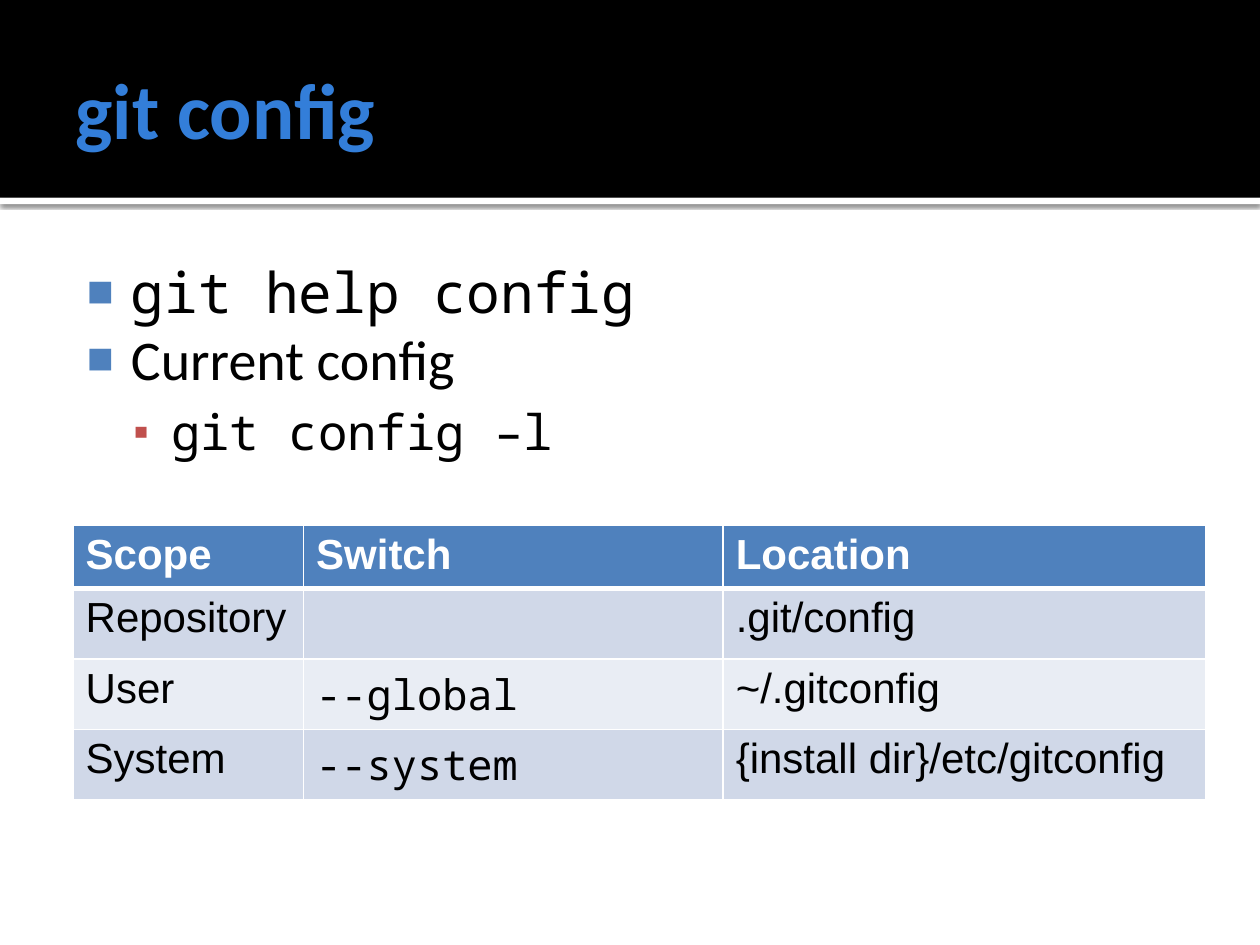
"""Build a slide on git config scopes, switches and file locations."""
from dataclasses import dataclass

from lxml.etree import SubElement
from pptx import Presentation
from pptx.dml.color import RGBColor as RGB
from pptx.enum.shapes import MSO_SHAPE as Shape
from pptx.enum.text import MSO_ANCHOR as Anchor, MSO_AUTO_SIZE as AutoSize, PP_ALIGN as Align
from pptx.oxml.ns import qn
from pptx.util import Inches, Pt


@dataclass(frozen=True)
class Theme:
    white: str = "FFFFFF"
    black: str = "000000"
    title: str = "337ED9"
    accent: str = "4F81BD"
    sub_accent: str = "C0504D"
    bands: tuple = ("D0D8E8", "E9EDF4")
    heading_font: str = "Calibri"
    code_font: str = "Noto Sans Mono"
    table_font: str = "Arial"
    title_size: int = 45
    body_size: int = 32
    sub_size: int = 28
    table_size: int = 24


def add_run(paragraph, text, font, size, color, bold=False):
    run = paragraph.add_run()
    run.text = text
    run.font.name = font
    run.font.size = Pt(size)
    run.font.bold = bold
    run.font.color.rgb = RGB.from_string(color)


def add_xml(parent, tag, **attributes):
    return SubElement(parent, qn(tag), {key: str(value) for key, value in attributes.items()})


theme = Theme()
deck = Presentation()
deck.slide_width, deck.slide_height = Inches(10), Inches(7.5)
slide = deck.slides.add_slide(deck.slide_layouts[5])

for top, height, color in ((1.57, 0.05, theme.white), (0, 1.57, theme.black)):
    band = slide.shapes.add_shape(Shape.RECTANGLE, 0, Inches(top), Inches(10), Inches(height))
    band.fill.solid()
    band.fill.fore_color.rgb = RGB.from_string(color)
    band.line.fill.background()
    band.shadow.inherit = False
    if color == theme.white:
        effects = band.element.spPr.find(qn("a:effectLst"))
        shadow = add_xml(effects, "a:outerShdw", blurRad=Pt(2.5), dist=Pt(0.8), dir=90 * 60000)
        add_xml(add_xml(shadow, "a:srgbClr", val=theme.black), "a:alpha", val=60000)

title = slide.shapes.title
title.element.getparent().append(title.element)
title.left, title.top, title.width, title.height = (Inches(n) for n in (0.5, 0.17, 9, 1.37))
heading = title.text_frame
heading.auto_size = AutoSize.NONE
heading.vertical_anchor = Anchor.MIDDLE
heading.margin_left = Inches(0.1)
heading.margin_top = heading.margin_right = heading.margin_bottom = Inches(0.05)
heading.paragraphs[0].alignment = Align.LEFT
add_run(heading.paragraphs[0], "git config", theme.heading_font, theme.title_size, theme.title, True)

body = slide.shapes.add_textbox(Inches(0.5), Inches(1.94), Inches(9), Inches(5.06)).text_frame
body.word_wrap = True
body.margin_left, body.margin_top = Inches(0.06), Inches(0.1)
body.margin_right, body.margin_bottom = Inches(0.1), Inches(0.05)
levels = (
    (0.48, -0.35, "■", theme.accent, 80000, theme.body_size, 0),
    (0.8, -0.3, "▪", theme.sub_accent, 90000, theme.sub_size, 0.2),
)
points = (
    ("git help config", theme.code_font, 0),
    ("Current config", theme.heading_font, 0),
    ("git config –l", theme.code_font, 1),
)
for index, (text, font, level) in enumerate(points):
    margin, indent, bullet, bullet_color, bullet_size, size, gap = levels[level]
    point = body.add_paragraph() if index else body.paragraphs[0]
    point.level = level
    point.space_before = Pt(gap * size)
    properties = point._p.get_or_add_pPr()
    properties.set("marL", str(Inches(margin)))
    properties.set("indent", str(Inches(indent)))
    add_xml(add_xml(properties, "a:buClr"), "a:srgbClr", val=bullet_color)
    add_xml(properties, "a:buSzPct", val=bullet_size)
    add_xml(properties, "a:buFont", typeface=theme.table_font)
    add_xml(properties, "a:buChar", char=bullet)
    add_run(point, text, font, size, theme.black)

scopes = (
    ("Scope", "Switch", "Location"),
    ("Repository", "", ".git/config"),
    ("User", "--global", "~/.gitconfig"),
    ("System", "--system", "{install dir}/etc/gitconfig"),
)
table = slide.shapes.add_table(
    len(scopes), 3, Inches(0.58), Inches(4.17), Inches(9), Inches(2.13)
).table
for column, width in zip(table.columns, (1.83, 3.33, 3.83)):
    column.width = Inches(width)
for row_index, entries in enumerate(scopes):
    is_header = row_index == 0
    table.rows[row_index].height = Inches(0.46 if is_header else 0.56)
    for column_index, text in enumerate(entries):
        cell = table.cell(row_index, column_index)
        cell_properties = cell._tc.get_or_add_tcPr()
        for side in "LRTB":
            thick = (is_header and side == "B") or (row_index == 1 and side == "T")
            border = add_xml(cell_properties, f"a:ln{side}", w=Pt(3 if thick else 1))
            add_xml(add_xml(border, "a:solidFill"), "a:srgbClr", val=theme.white)
        cell.fill.solid()
        fill_color = theme.accent if is_header else theme.bands[(row_index - 1) % 2]
        cell.fill.fore_color.rgb = RGB.from_string(fill_color)
        if text:
            font = theme.code_font if text.startswith("--") else theme.table_font
            text_color = theme.white if is_header else theme.black
            add_run(cell.text_frame.paragraphs[0], text, font, theme.table_size, text_color, is_header)

deck.save("out.pptx")
